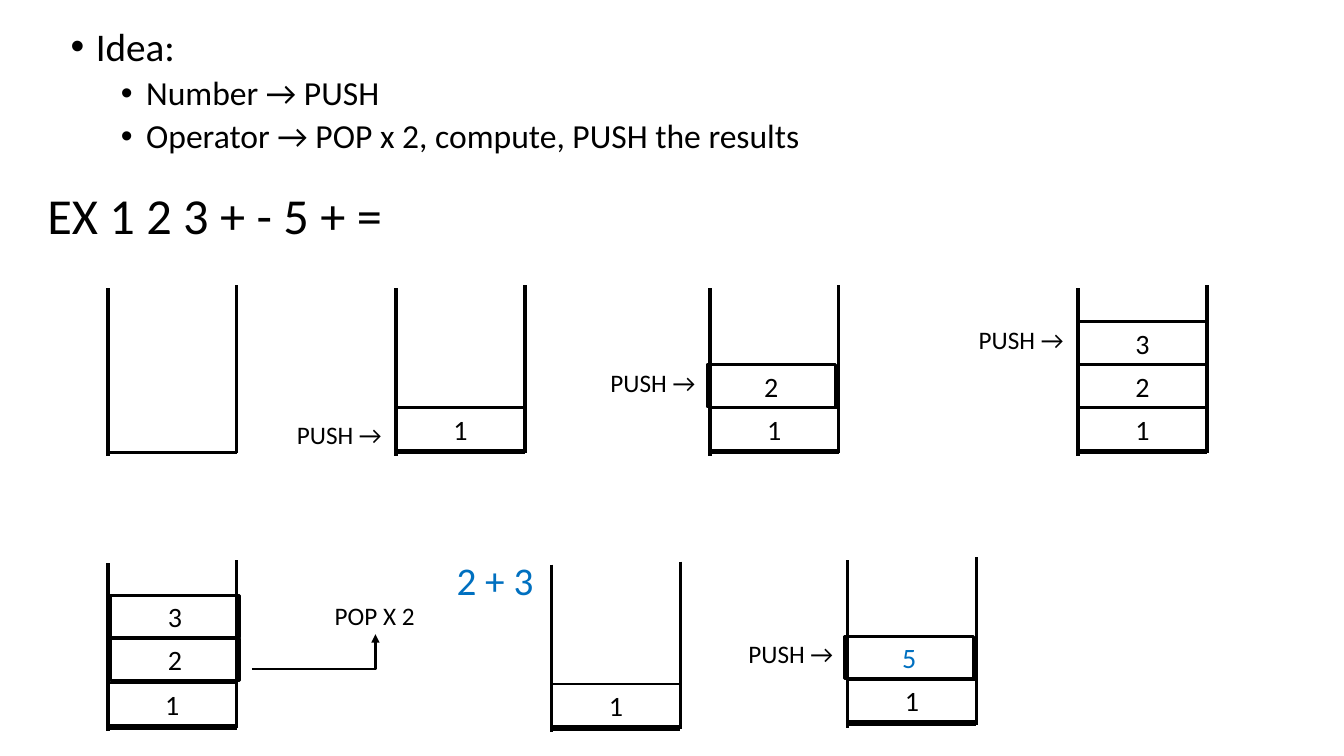
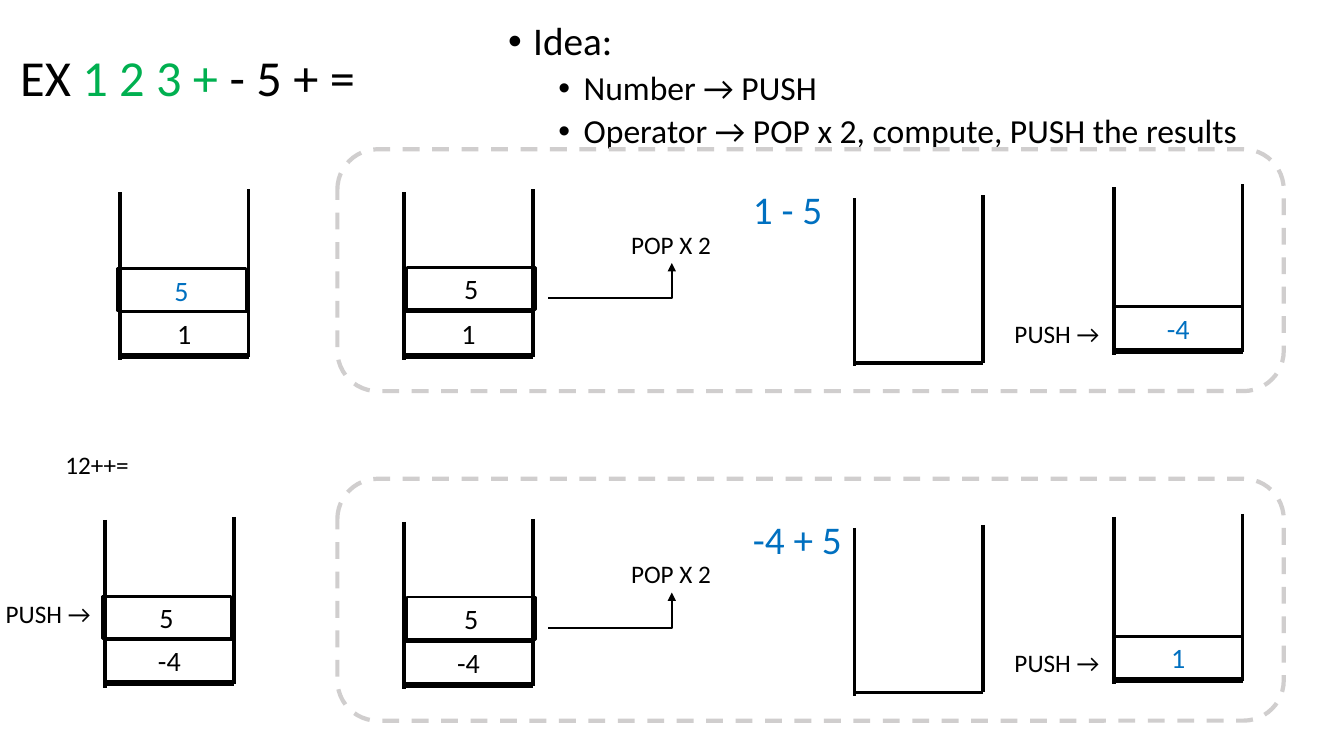
"""Build two slides that trace postfix evaluation on a stack."""
from dataclasses import dataclass

from lxml.etree import SubElement
from pptx import Presentation
from pptx.dml.color import RGBColor
from pptx.enum.dml import MSO_LINE
from pptx.enum.shapes import MSO_CONNECTOR, MSO_SHAPE
from pptx.enum.text import MSO_ANCHOR, MSO_AUTO_SIZE, PP_ALIGN
from pptx.oxml.ns import qn
from pptx.util import Pt

FONT = "Calibri"
BLACK, BLUE, GREEN, GREY = "000000", "0070C0", "00B050", "D0CECE"
STACK_WIDTH, STACK_HEIGHT, CELL_HEIGHT, CELL_PITCH = 92, 117.5, 30.2, 30.7
IDEA = [
    ("Idea:", 0, 28, 10),
    ("Number → PUSH", 1, 24, 5),
    ("Operator → POP x 2, compute, PUSH the results", 1, 24, 5),
]


@dataclass
class Cell:
    """A stack entry; a positive shift marks a popped cell, a negative one a pushed cell."""

    text: str
    colour: str = BLACK
    shift: int = 0


def rgb(colour):
    """Turn a hex string into a colour."""
    return RGBColor.from_string(colour)


def place(shape, left, top, width, height):
    """Move and size a shape, in points."""
    shape.left, shape.top = Pt(left), Pt(top)
    shape.width, shape.height = Pt(width), Pt(height)


def add_run(paragraph, text, size, colour=BLACK):
    """Append one formatted run."""
    run = paragraph.add_run()
    run.text = text
    run.font.name, run.font.size = FONT, Pt(size)
    run.font.color.rgb = rgb(colour)


def add_heading(slide, left, top, runs):
    """Fill the title placeholder with the expression being evaluated."""
    title = slide.shapes.title
    place(title, left, top, 255.6, 51)
    frame = title.text_frame
    frame.word_wrap, frame.auto_size = False, MSO_AUTO_SIZE.NONE
    frame.vertical_anchor = MSO_ANCHOR.TOP
    paragraph = frame.paragraphs[0]
    paragraph.alignment = PP_ALIGN.LEFT
    for text, colour in runs:
        add_run(paragraph, text, 36, colour)


def add_idea(slide, left, top, width):
    """Fill the body placeholder with the evaluation rules."""
    body = slide.placeholders[1]
    place(body, left, top, width, 110)
    frame = body.text_frame
    frame.auto_size = MSO_AUTO_SIZE.NONE
    for index, (text, level, size, before) in enumerate(IDEA):
        paragraph = frame.add_paragraph() if index else frame.paragraphs[0]
        paragraph.level = level
        paragraph.line_spacing, paragraph.space_before = 0.9, Pt(before)
        properties = paragraph._p.get_or_add_pPr()
        properties.set("marL", str(Pt(18 + 36 * level)))
        properties.set("indent", str(Pt(-18)))
        SubElement(properties, qn("a:buFont"), typeface="Arial")
        SubElement(properties, qn("a:buChar"), char="•")
        add_run(paragraph, text, size)


def add_label(slide, left, top, width, text, size=18, colour=BLACK):
    """Add a one-line text box."""
    label = slide.shapes.add_textbox(Pt(left), Pt(top), Pt(width), Pt(size * 1.22 + 7.2))
    label.text_frame.word_wrap = False
    add_run(label.text_frame.paragraphs[0], text, size, colour)


def add_line(shapes, start, end, weight, kind=MSO_CONNECTOR.STRAIGHT):
    """Add a black connector without shadow."""
    line = shapes.add_connector(kind, *map(Pt, (*start, *end)))
    line.line.color.rgb, line.line.width = rgb(BLACK), Pt(weight)
    SubElement(line._element.spPr, qn("a:effectLst"))
    return line


def add_outline(slide, kind, box, colour, weight):
    """Add an unfilled outlined shape."""
    shape = slide.shapes.add_shape(kind, *map(Pt, box))
    shape.shadow.inherit = False
    shape.fill.background()
    shape.line.color.rgb, shape.line.width = rgb(colour), Pt(weight)
    return shape


def add_cell(slide, left, top, cell):
    """Add one stack entry."""
    box = add_outline(slide, MSO_SHAPE.RECTANGLE, (left, top, STACK_WIDTH, CELL_HEIGHT), BLACK, 2)
    frame = box.text_frame
    frame.vertical_anchor = MSO_ANCHOR.MIDDLE
    paragraph = frame.paragraphs[0]
    paragraph.alignment = PP_ALIGN.CENTER
    add_run(paragraph, cell.text, 20, cell.colour)


def add_stack(slide, left, floor, cells=(), pushed=False):
    """Draw an open stack with its cells, bottom first, and an optional push label."""
    walls = slide.shapes.add_group_shape().shapes
    right = left + STACK_WIDTH
    add_line(walls, (left, floor - STACK_HEIGHT), (left, floor + 2.2), 2.5)
    add_line(walls, (right, floor - STACK_HEIGHT - 2.2), (right, floor), 2.5)
    add_line(walls, (left, floor), (right, floor), 2.5)
    top = floor
    for level, cell in enumerate(cells):
        top = floor - 2 - CELL_HEIGHT - CELL_PITCH * level - (cell.shift > 0)
        add_cell(slide, left + cell.shift, top, cell)
    if pushed:
        drop = 4.5 if len(cells) == 1 else -2
        add_label(slide, left - 78, top + drop, 77, "PUSH →")


def add_pop(slide, left, floor, expression, width):
    """Draw the pop arrow of a stack, its label and the computed expression."""
    start, end = (left + 103, floor - 41.8), (left + 191.2, floor - 67)
    arrow = add_line(slide.shapes, start, end, 1.5, MSO_CONNECTOR.ELBOW)
    guides = arrow._element.spPr.find(qn("a:prstGeom")).get_or_add_avLst()
    SubElement(guides, qn("a:gd"), name="adj1", fmla="val 100000")
    SubElement(arrow.line._get_or_add_ln(), qn("a:tailEnd"), type="triangle")
    add_label(slide, left + 155, floor - 95, 72, "POP X 2")
    add_label(slide, left + 242, floor - 126, width, expression, 28, BLUE)


def add_evaluation(slide, top, operands, expression, width, result):
    """Draw a dashed frame that pops two operands and pushes their result."""
    first, second = operands
    pop_floor = top + 148.3
    add_stack(slide, 288.7, pop_floor, [Cell(first), Cell(second, shift=2)])
    add_pop(slide, 288.7, pop_floor, expression, width)
    add_stack(slide, 610.3, top + 152.6)
    add_stack(slide, 795.6, top + 144.7, [Cell(result, BLUE)], pushed=True)
    frame = add_outline(slide, MSO_SHAPE.ROUNDED_RECTANGLE, (241, top, 676, 172.8), GREY, 3)
    frame.line.dash_style = MSO_LINE.DASH


def build_first_operator(slide):
    """Trace the three pushes and the addition."""
    add_idea(slide, 43.2, 15.8, 905)
    add_heading(slide, 26.6, 128.2, [("EX 1 2 3 + - 5 + =", BLACK)])
    floor = 323.4
    add_stack(slide, 77, floor)
    add_stack(slide, 283, floor, [Cell("1")], pushed=True)
    add_stack(slide, 507, floor, [Cell("1"), Cell("2", shift=-2)], pushed=True)
    add_stack(slide, 770, floor, [Cell("1"), Cell("2"), Cell("3")], pushed=True)
    floor = 520
    add_stack(slide, 77, floor, [Cell("1"), Cell("2", shift=2), Cell("3", shift=2)])
    add_pop(slide, 77, floor, "2 + 3", 70.6)
    add_stack(slide, 394, floor + 0.8, [Cell("1")])
    add_stack(slide, 605.5, floor - 2.4, [Cell("1"), Cell("5", BLUE, -2)], pushed=True)


def build_remaining_operators(slide):
    """Trace the subtraction and the last addition."""
    add_heading(slide, 7.2, 29.5, [("EX ", BLACK), ("1 2 3 + ", GREEN), ("- 5 + =", BLACK)])
    add_idea(slide, 355.7, 12.2, 604)
    add_stack(slide, 85.7, 254.9, [Cell("1"), Cell("5", BLUE, -2)])
    add_evaluation(slide, 106.6, ("1", "5"), "1 - 5", 64.8, "-4")
    add_stack(slide, 75, 488.9, [Cell("-4"), Cell("5", shift=-2)], pushed=True)
    add_evaluation(slide, 342, ("-4", "5"), "-4 + 5", 79.2, "1")
    add_label(slide, 39.6, 317.5, 60.5, "12++=")


def main():
    """Build and save the presentation."""
    deck = Presentation()
    deck.slide_width, deck.slide_height = Pt(960), Pt(540)
    for build in (build_first_operator, build_remaining_operators):
        build(deck.slides.add_slide(deck.slide_layouts[1]))
    deck.save("out.pptx")


if __name__ == "__main__":
    main()
